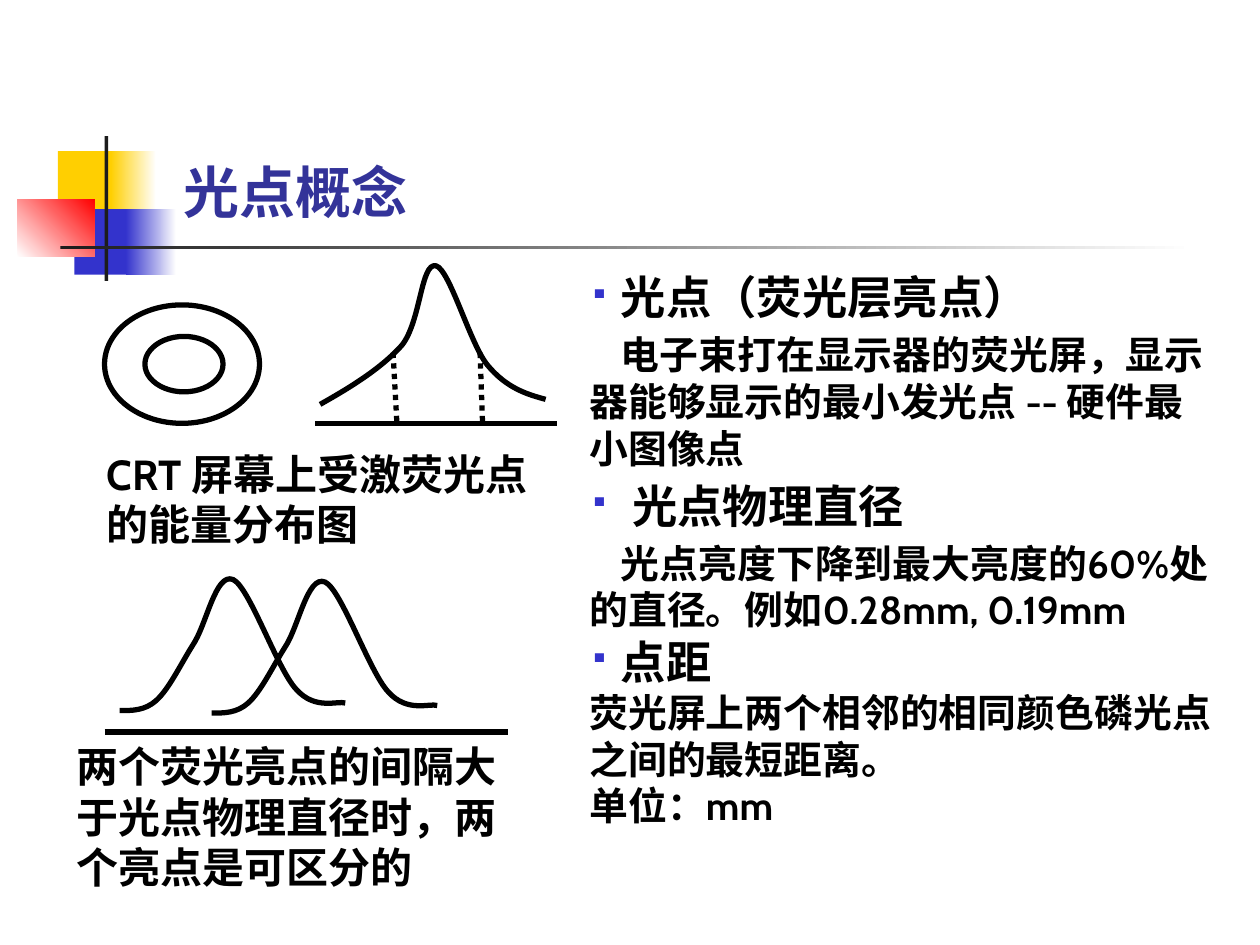
from lxml import etree
from pptx import Presentation
from pptx import util as u
from pptx.dml.color import RGBColor
from pptx.enum import dml, shapes, text
from pptx.oxml.ns import qn

THEME = dict(font="Cabin", ink="000000", title="333399", blue="3333CC", yellow="FFCF01",
             red="FF0000", dark="1C1C1C", white="FFFFFF",
             title_size=32, caption_size=24, head_size=25.9, body_size=22.2, line=3)

# Decoration: left, top, width, height, start colour, end colour, gradient angle
DECOR = [
    (0.46, 1.2, 0.48, 0.52, "yellow", None, 0),
    (0.88, 1.2, 0.36, 0.52, "yellow", "white", 0),
    (0.59, 1.66, 0.46, 0.52, "blue", None, 0),
    (1, 1.66, 0.4, 0.52, "blue", "white", 0),
    (0.14, 1.58, 0.61, 0.46, "white", "red", 45),
    (0.83, 1.08, 0.03, 1.15, "dark", None, 0),
    (0.48, 1.95, 9, 0.03, "dark", "white", 0),
]
TITLE = "光点概念"
CAPTIONS = [
    ((0.75, 3.51, 3.75, 1.67), "CRT 屏幕上受激荧光点的能量分布图"),
    ((0.51, 5.83, 3.62, 1.67), "两个荧光亮点的间隔大于光点物理直径时，两个亮点是可区分的"),
]
# Notes: text, bulleted heading?, left margin, first-line indent, space before
NOTES = [
    ("光点（荧光层亮点）", True, 0.25, -0.25, 0),
    ("电子束打在显示器的荧光屏，显示器能够显示的最小发光点 -- 硬件最小图像点", False, 0, 0.25, 4),
    ("光点物理直径", True, 0.34, -0.34, 4),
    ("光点亮度下降到最大亮度的60%处的直径。例如0.28mm, 0.19mm", False, 0, 0.25, 4),
    ("点距", True, 0.25, -0.25, 1),
    ("荧光屏上两个相邻的相同颜色磷光点之间的最短距离。", False, 0, 0, 0),
    ("单位：mm", False, 0, 0, 0),
]
# Curves: a start point, then Bezier triples
ENERGY = [(2.54, 3.21), (2.79, 3.07), (3.03, 2.92), (3.19, 2.74), (3.34, 2.55), (3.34, 2.08),
          (3.46, 2.11), (3.57, 2.14), (3.73, 2.73), (3.87, 2.9), (4.02, 3.08), (4.18, 3.13),
          (4.33, 3.17)]
SPOT = [(0.95, 5.64), (1.05, 5.64), (1.15, 5.64), (1.24, 5.56), (1.34, 5.47), (1.43, 5.28),
        (1.53, 5.12), (1.64, 4.96), (1.71, 4.54), (1.85, 4.6), (1.98, 4.66), (2.2, 5.31),
        (2.35, 5.47), (2.5, 5.64), (2.68, 5.56), (2.74, 5.58)]
SPOT_SHIFT = (0.73, 0.02)
# Lines: from, to, dotted?
LINES = [((2.5, 3.36), (4.42, 3.36), False), ((3.12, 2.8), (3.15, 3.36), True),
         ((3.81, 2.8), (3.83, 3.36), True), ((0.83, 5.81), (4.03, 5.81), False)]
RINGS = [(1.15, 2.67, 0.62, 0.44), (0.83, 2.42, 1.23, 0.94)]


def rgb(name):
    return RGBColor.from_string(THEME[name])


def inches(values):
    return [u.Inches(v) for v in values]


def stroke(sp):
    sp.line.color.rgb = rgb("ink")
    sp.line.width = u.Pt(THEME["line"])


def outline(sp):
    sp.shadow.inherit = False
    sp.fill.background()
    stroke(sp)


def add_block(s, box, start, end, angle):
    sp = s.shapes.add_shape(shapes.MSO_SHAPE.RECTANGLE, *inches(box))
    sp.shadow.inherit = False
    sp.line.fill.background()
    if end is None:
        sp.fill.solid()
        sp.fill.fore_color.rgb = rgb(start)
        return
    sp.fill.gradient()
    sp.fill.gradient_angle = angle
    for stop, name in zip(sp.fill.gradient_stops, (start, end)):
        stop.color.rgb = rgb(name)


def add_curve(s, points):
    start, *rest = [inches(point) for point in points]
    fb = s.shapes.build_freeform(*start)
    fb.add_line_segments(rest, close=False)
    sp = fb.convert_to_shape()
    # Each three line segments become one cubic Bezier
    segments = list(sp._element.iter(qn("a:lnTo")))
    for i in range(0, len(segments), 3):
        bez = etree.Element(qn("a:cubicBezTo"))
        segments[i].addprevious(bez)
        for seg in segments[i:i + 3]:
            bez.append(seg[0])
            seg.getparent().remove(seg)
    outline(sp)


def add_line(s, start, end, dotted):
    c = s.shapes.add_connector(shapes.MSO_CONNECTOR.STRAIGHT, *inches(start + end))
    stroke(c)
    if dotted:
        c.line.dash_style = dml.MSO_LINE.ROUND_DOT
    etree.SubElement(c._element.spPr, qn("a:effectLst"))


def add_box(s, box):
    tf = s.shapes.add_textbox(*inches(box)).text_frame
    tf.word_wrap = True
    return tf


def add_run(p, words, size, color="ink"):
    r = p.add_run()
    r.text = words
    r.font.size = u.Pt(THEME[size])
    r.font.bold = True
    r.font.color.rgb = rgb(color)
    r.font.name = THEME["font"]
    etree.SubElement(r.font._element, qn("a:ea"), typeface=THEME["font"])


def add_bullet(p):
    pPr = p._p.get_or_add_pPr()
    color = etree.SubElement(pPr, qn("a:buClr"))
    etree.SubElement(color, qn("a:srgbClr"), val=THEME["blue"])
    etree.SubElement(pPr, qn("a:buSzPct"), val="60000")
    etree.SubElement(pPr, qn("a:buChar"), char="▪")


def main():
    prs = Presentation()
    prs.slide_width, prs.slide_height = inches((10, 7.5))
    s = prs.slides.add_slide(prs.slide_layouts[6])

    # Decoration and title
    for *box, start, end, angle in DECOR:
        add_block(s, box, start, end, angle)
    tf = add_box(s, (1.26, 0.23, 8.52, 1.6))
    tf.vertical_anchor = text.MSO_ANCHOR.BOTTOM
    tf.margin_left = u.Inches(0.2)
    add_run(tf.paragraphs[0], TITLE, "title_size", "title")

    # Diagrams
    for line in LINES:
        add_line(s, *line)
    dx, dy = SPOT_SHIFT
    for points in (ENERGY, SPOT, [(x + dx, y + dy) for x, y in SPOT]):
        add_curve(s, points)
    for box in RINGS:
        outline(s.shapes.add_shape(shapes.MSO_SHAPE.OVAL, *inches(box)))

    # Captions
    for box, words in CAPTIONS:
        add_run(add_box(s, box).paragraphs[0], words, "caption_size")

    # Notes
    tf = add_box(s, (4.58, 2.09, 5.17, 5.12))
    for i, (words, heading, margin, indent, before) in enumerate(NOTES):
        p = tf.add_paragraph() if i else tf.paragraphs[0]
        pPr = p._p.get_or_add_pPr()
        pPr.set("marL", str(u.Inches(margin)))
        pPr.set("indent", str(u.Inches(indent)))
        if before:
            p.space_before = u.Pt(before)
        if heading:
            add_bullet(p)
        add_run(p, words, "head_size" if heading else "body_size")

    prs.save("out.pptx")


if __name__ == "__main__":
    main()
